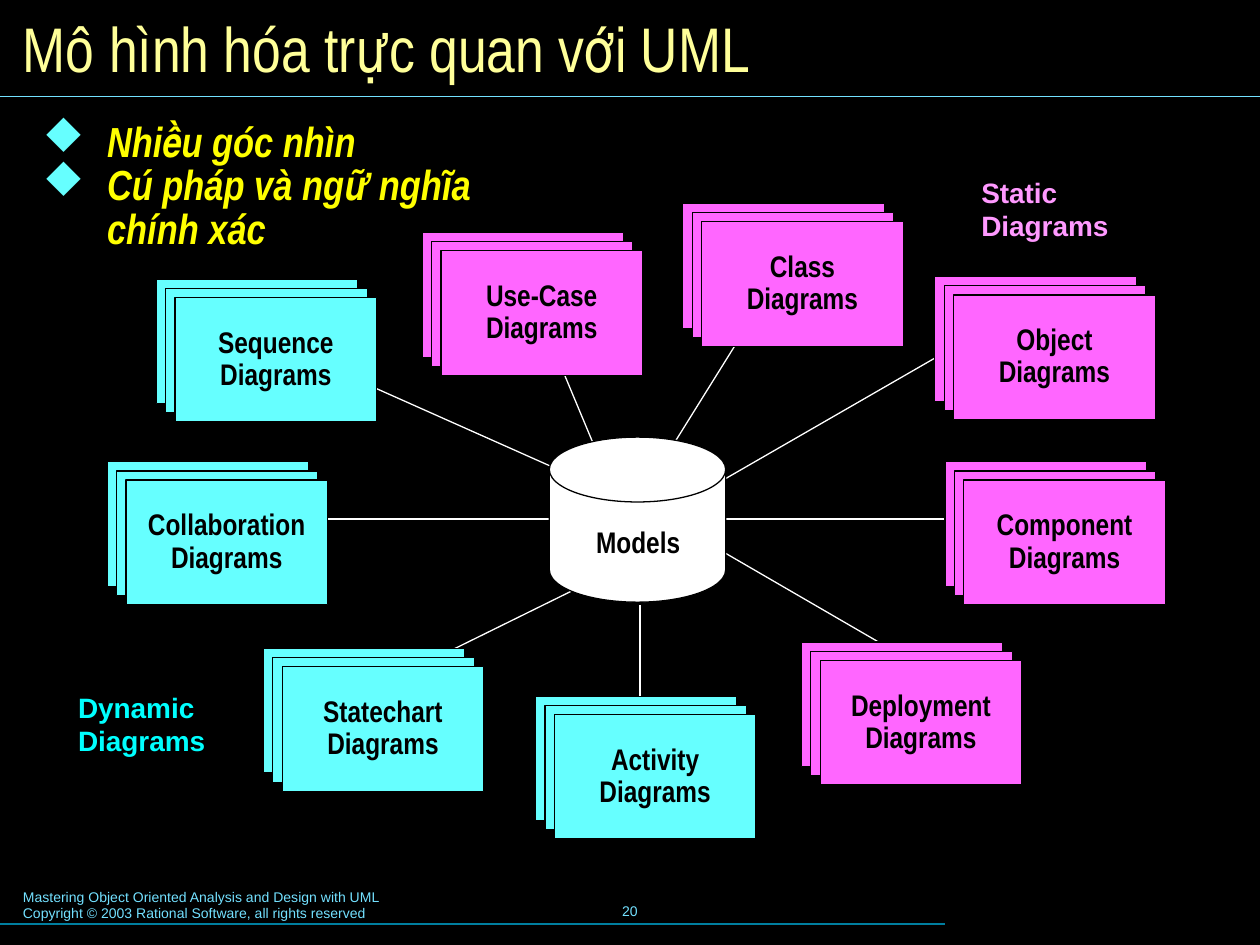
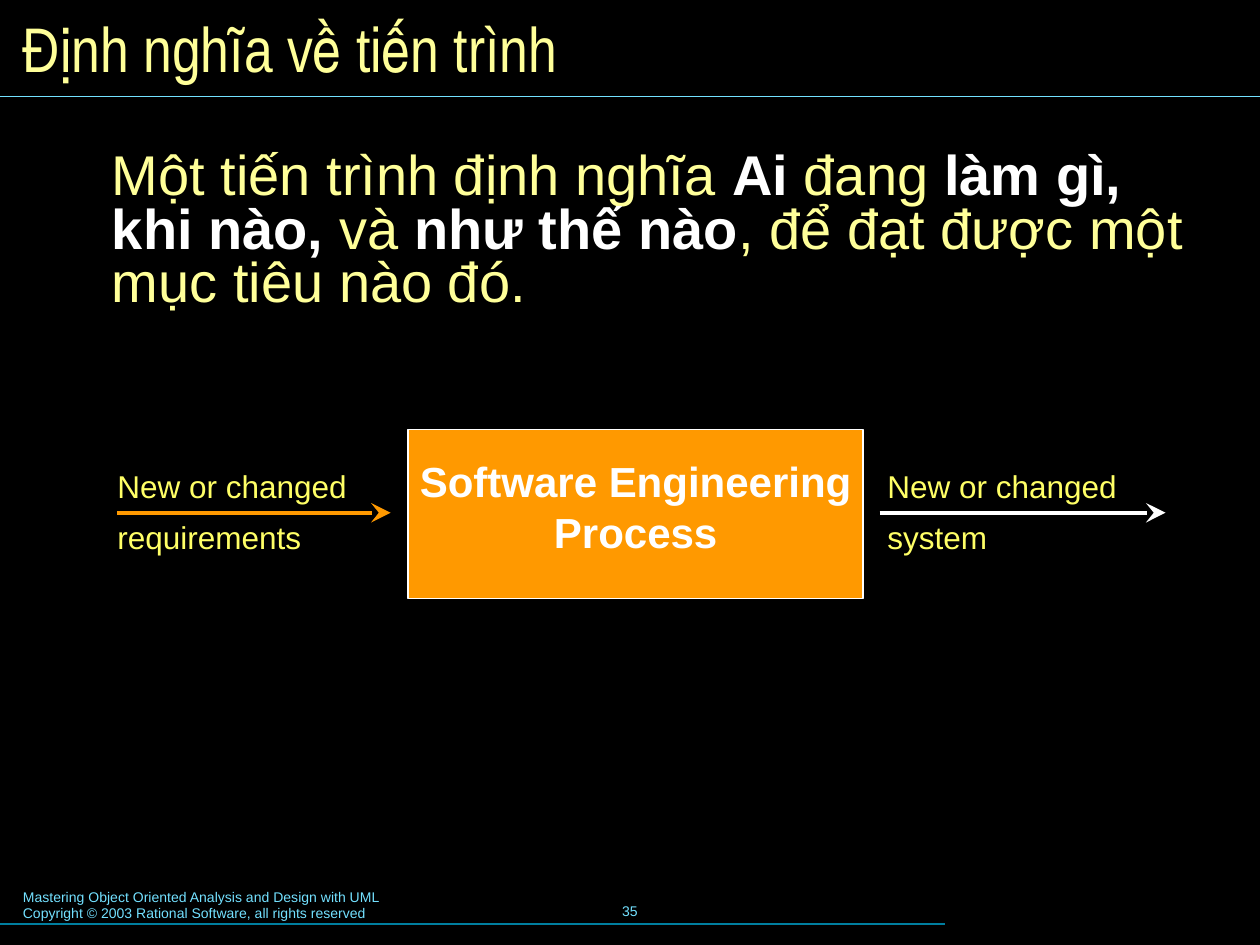
from dataclasses import dataclass, replace
from typing import NamedTuple, Optional

from lxml import etree
from pptx import Presentation
from pptx.dml.color import RGBColor
from pptx.enum.shapes import MSO_CONNECTOR, MSO_SHAPE
from pptx.enum.text import MSO_ANCHOR, PP_ALIGN
from pptx.oxml.ns import qn
from pptx.util import Pt

STRAIGHT = MSO_CONNECTOR.STRAIGHT
RECTANGLE, CAN = MSO_SHAPE.RECTANGLE, MSO_SHAPE.CAN
LEFT, CENTER = PP_ALIGN.LEFT, PP_ALIGN.CENTER
TOP, MIDDLE = MSO_ANCHOR.TOP, MSO_ANCHOR.MIDDLE

BLACK = RGBColor(0x00, 0x00, 0x00)
WHITE = RGBColor(0xFF, 0xFF, 0xFF)
CREAM = RGBColor(0xFF, 0xFF, 0x99)
YELLOW = RGBColor(0xFF, 0xFF, 0x00)
LEMON = RGBColor(0xFF, 0xFF, 0x66)
ORANGE = RGBColor(0xFF, 0x99, 0x00)
SKY = RGBColor(0x73, 0xE1, 0xFF)
TEAL = RGBColor(0x00, 0x7E, 0x9F)
AQUA = RGBColor(0x66, 0xFF, 0xFF)
CYAN = RGBColor(0x00, 0xFF, 0xFF)
PINK = RGBColor(0xFF, 0x66, 0xFF)
PALE_PINK = RGBColor(0xFF, 0x99, 0xFF)

DIAMOND_FONT, DIAMOND = "Wingdings", "u"
CARD_WIDTH, CARD_HEIGHT = 115.2, 71.3
CARD_STEP_X, CARD_STEP_Y = 5.4, 5.2
CARDS_PER_STACK = 3

FOOTER_LINES = [
    "Mastering Object Oriented Analysis and Design with UML",
    "Copyright © 2003 Rational Software, all rights reserved",
]


class Box(NamedTuple):
    left: float
    top: float
    width: float
    height: float


class Line(NamedTuple):
    x1: float
    y1: float
    x2: float
    y2: float


class Diagram(NamedTuple):
    name: str
    left: float
    top: float
    color: RGBColor
    spoke: Line
    spoke_weight: float = 0.75


class Flow(NamedTuple):
    label_lines: list[str]
    label_box: Box
    arrow: Line
    color: RGBColor


@dataclass(frozen=True)
class TextStyle:
    size: float
    color: RGBColor
    font: str = "Arial"
    bold: bool = False
    italic: bool = False
    align: PP_ALIGN = LEFT
    anchor: MSO_ANCHOR = TOP
    inset_x: float = 7.2
    inset_y: float = 3.6
    wrap: bool = True
    line_spacing: Optional[float] = None
    space_between: float = 0
    indent: float = 0
    bullet_color: Optional[RGBColor] = None


TITLE = TextStyle(36, CREAM, "Arial Narrow", anchor=MIDDLE)
FOOTER = TextStyle(8, SKY)
PAGE_NUMBER = replace(FOOTER, align=CENTER, anchor=MIDDLE)
KEY_POINT = TextStyle(24, YELLOW, "Arial Narrow", bold=True, italic=True, inset_x=6.5,
                      line_spacing=0.87, indent=36.7, bullet_color=AQUA)
CARD_LABEL = TextStyle(17, BLACK, "Arial Narrow", bold=True, align=CENTER, anchor=MIDDLE,
                       wrap=False, line_spacing=0.9)
MODELS_LABEL = replace(CARD_LABEL, anchor=TOP, inset_y=4.3)
GROUP_LABEL = TextStyle(16, CYAN, bold=True, inset_x=8.6, inset_y=4.3)
DEFINITION = TextStyle(32, CREAM, inset_x=8.6, inset_y=4.3, line_spacing=0.8, indent=26.6)
FLOW_LABEL = TextStyle(18, LEMON, line_spacing=Pt(20), space_between=9)
PROCESS_LABEL = replace(FLOW_LABEL, size=24, color=WHITE, bold=True, align=CENTER,
                        anchor=MIDDLE, wrap=False)

DIAGRAMS = [
    Diagram("Sequence", 100.1, 169.9, AQUA, Line(175.7, 204.5, 347, 280.8)),
    Diagram("Collaboration", 72, 274.3, AQUA, Line(175, 296.6, 335.5, 296.6)),
    Diagram("Statechart", 161.3, 380.9, AQUA, Line(239, 380.9, 329.8, 336.2)),
    Diagram("Activity", 316.8, 408.2, AQUA, Line(365.8, 345.6, 365.8, 408.2), 1),
    Diagram("Use-Case", 252, 143.3, PINK, Line(303.8, 169.2, 345.6, 269.3)),
    Diagram("Class", 401, 126.7, PINK, Line(432.7, 177.1, 367.2, 282.2)),
    Diagram("Object", 545, 168.5, PINK, Line(379.4, 293.8, 550.8, 195.1)),
    Diagram("Component", 550.8, 274.3, PINK, Line(396.7, 296.6, 557.3, 296.6)),
    Diagram("Deployment", 468.7, 377.3, PINK, Line(507.6, 370.1, 380.9, 296.6)),
]

FLOWS = [
    Flow(["New or changed", "requirements"], Box(60, 265, 160, 56.2),
         Line(67, 293, 223.2, 293), ORANGE),
    Flow(["New or changed", "system"], Box(500, 265, 160, 56.2),
         Line(502.6, 293, 666, 293), WHITE),
]

DEFINITION_RUNS = [
    ("Một tiến trình định nghĩa ", False),
    ("Ai", True),
    (" đang ", False),
    ("làm gì, khi nào,", True),
    (" và ", False),
    ("như thế nào", True),
    (", để đạt được một mục tiêu nào đó.", False),
]


def add_bullet(paragraph, color: RGBColor) -> None:
    properties = paragraph._p.get_or_add_pPr()
    bullet_color = etree.SubElement(properties, qn("a:buClr"))
    etree.SubElement(bullet_color, qn("a:srgbClr"), val=str(color))
    etree.SubElement(properties, qn("a:buFont"), typeface=DIAMOND_FONT, charset="2")
    etree.SubElement(properties, qn("a:buChar"), char=DIAMOND)


def style_paragraph(paragraph, style: TextStyle) -> None:
    properties = paragraph._p.get_or_add_pPr()
    if style.indent:
        properties.set("marL", str(Pt(style.indent)))
    if style.bullet_color is not None:
        properties.set("indent", str(-Pt(style.indent)))
        add_bullet(paragraph, style.bullet_color)
    paragraph.alignment = style.align
    if style.line_spacing is not None:
        paragraph.line_spacing = style.line_spacing
    font = paragraph.font
    font.name = style.font
    font.size = Pt(style.size)
    font.bold = style.bold
    font.italic = style.italic
    font.color.rgb = style.color


def write_lines(shape, lines: list[str], style: TextStyle) -> None:
    frame = shape.text_frame
    frame.word_wrap = style.wrap
    frame.vertical_anchor = style.anchor
    frame.margin_left = frame.margin_right = Pt(style.inset_x)
    frame.margin_top = frame.margin_bottom = Pt(style.inset_y)
    for index, line in enumerate(lines):
        paragraph = frame.add_paragraph() if index else frame.paragraphs[0]
        style_paragraph(paragraph, style)
        if index and style.space_between:
            paragraph.space_before = Pt(style.space_between)
        if line:
            paragraph.add_run().text = line


def add_text(slide, box: Box, lines: list[str], style: TextStyle):
    text_box = slide.shapes.add_textbox(*map(Pt, box))
    write_lines(text_box, lines, style)
    return text_box


def add_solid(slide, kind: MSO_SHAPE, box: Box, fill: RGBColor,
              outline: RGBColor = BLACK, weight: float = 0.75):
    solid = slide.shapes.add_shape(kind, *map(Pt, box))
    solid.shadow.inherit = False
    solid.fill.solid()
    solid.fill.fore_color.rgb = fill
    solid.line.color.rgb = outline
    solid.line.width = Pt(weight)
    return solid


def add_line(slide, line: Line, color: RGBColor, weight: float = 0.75,
             arrow: bool = False) -> None:
    connector = slide.shapes.add_connector(STRAIGHT, *map(Pt, line))
    connector.line.color.rgb = color
    connector.line.width = Pt(weight)
    if arrow:
        etree.SubElement(connector.line._get_or_add_ln(), qn("a:tailEnd"),
                         type="stealth", w="lg", len="lg")
    etree.SubElement(connector._element.spPr, qn("a:effectLst"))


def add_base_slide(prs, title: str, number: int):
    slide = prs.slides.add_slide(prs.slide_layouts[6])
    slide.background.fill.solid()
    slide.background.fill.fore_color.rgb = BLACK
    add_line(slide, Line(0, 528, 540, 528), TEAL)
    add_line(slide, Line(0, 55, 720, 55), SKY)
    add_text(slide, Box(246, 502.6, 228, 36), [str(number)], PAGE_NUMBER)
    add_text(slide, Box(6, 504, 367.2, 26.6), FOOTER_LINES, FOOTER)
    add_text(slide, Box(6, 6, 708, 41.8), [title], TITLE)
    return slide


def add_stack(slide, diagram: Diagram) -> None:
    for depth in reversed(range(CARDS_PER_STACK)):
        box = Box(diagram.left - depth * CARD_STEP_X, diagram.top - depth * CARD_STEP_Y,
                  CARD_WIDTH, CARD_HEIGHT)
        card = add_solid(slide, RECTANGLE, box, diagram.color)
    write_lines(card, [diagram.name, "Diagrams"], CARD_LABEL)


def build_modeling_slide(prs) -> None:
    slide = add_base_slide(prs, "Mô hình hóa trực quan với UML", 20)
    for diagram in DIAGRAMS:
        add_line(slide, diagram.spoke, WHITE, diagram.spoke_weight)
    for diagram in DIAGRAMS:
        add_stack(slide, diagram)
    models = add_solid(slide, CAN, Box(313.9, 249.8, 100.8, 94.3), WHITE)
    models.adjustments[0] = 0.393
    add_text(slide, Box(331.9, 297.4, 65.5, 26.6), ["Models"], MODELS_LABEL)
    add_text(slide, Box(36, 390.2, 90, 46.8), ["Dynamic Diagrams"], GROUP_LABEL)
    add_text(slide, Box(552.2, 95.8, 95.8, 46.8), ["Static Diagrams"],
             replace(GROUP_LABEL, color=PALE_PINK))
    add_text(slide, Box(18, 66.2, 311.8, 107.3),
             ["Nhiều góc nhìn", "Cú pháp và ngữ nghĩa chính xác"], KEY_POINT)


def build_process_slide(prs) -> None:
    slide = add_base_slide(prs, "Định nghĩa về tiến trình", 35)
    definition = add_text(slide, Box(28.8, 82.8, 668.9, 397.4), [""], DEFINITION)
    for text, emphasized in DEFINITION_RUNS:
        run = definition.text_frame.paragraphs[0].add_run()
        run.text = text
        if emphasized:
            run.font.bold = True
            run.font.color.rgb = WHITE
    process = add_solid(slide, RECTANGLE, Box(233.3, 245.5, 259.9, 96.5), ORANGE, WHITE, 1)
    write_lines(process, ["Software Engineering", "Process"], PROCESS_LABEL)
    for flow in FLOWS:
        add_text(slide, flow.label_box, flow.label_lines, FLOW_LABEL)
        add_line(slide, flow.arrow, flow.color, 2.25, arrow=True)


def main() -> None:
    prs = Presentation()
    prs.slide_width, prs.slide_height = Pt(720), Pt(540)
    build_modeling_slide(prs)
    build_process_slide(prs)
    prs.save("out.pptx")


if __name__ == "__main__":
    main()
